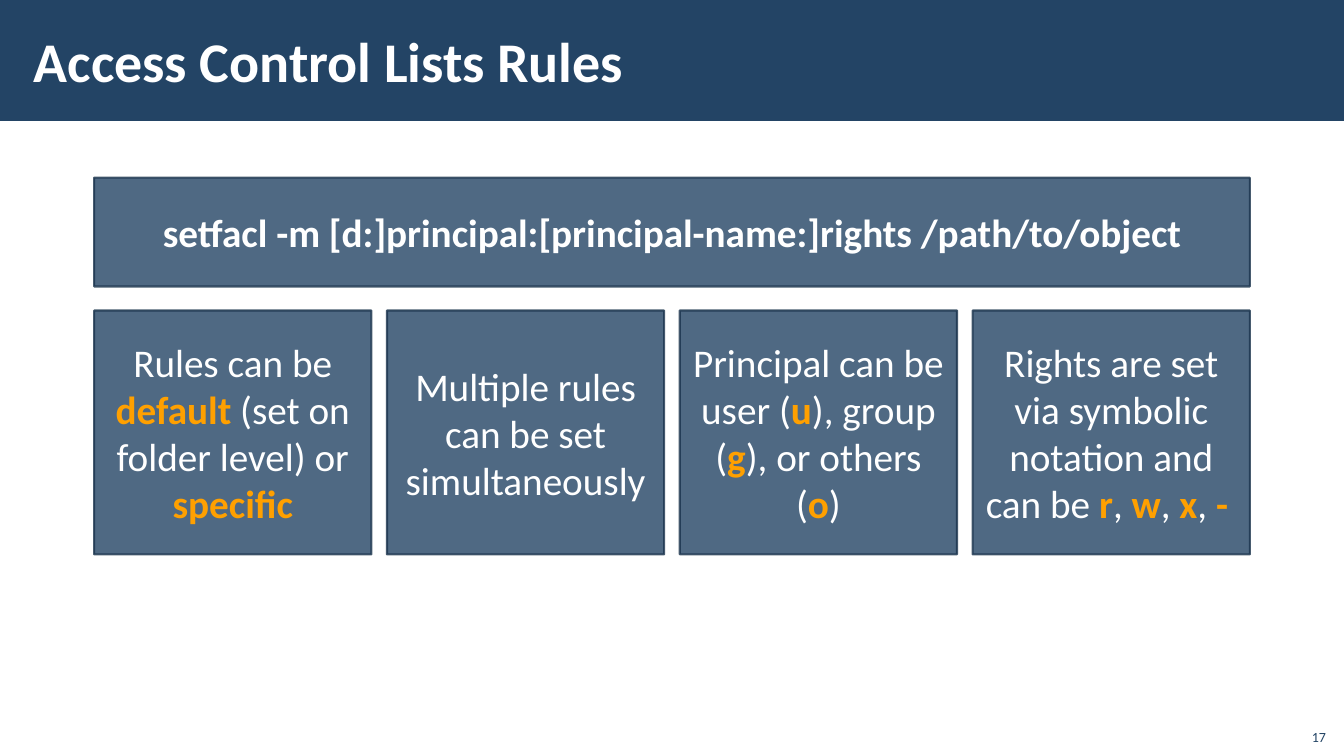
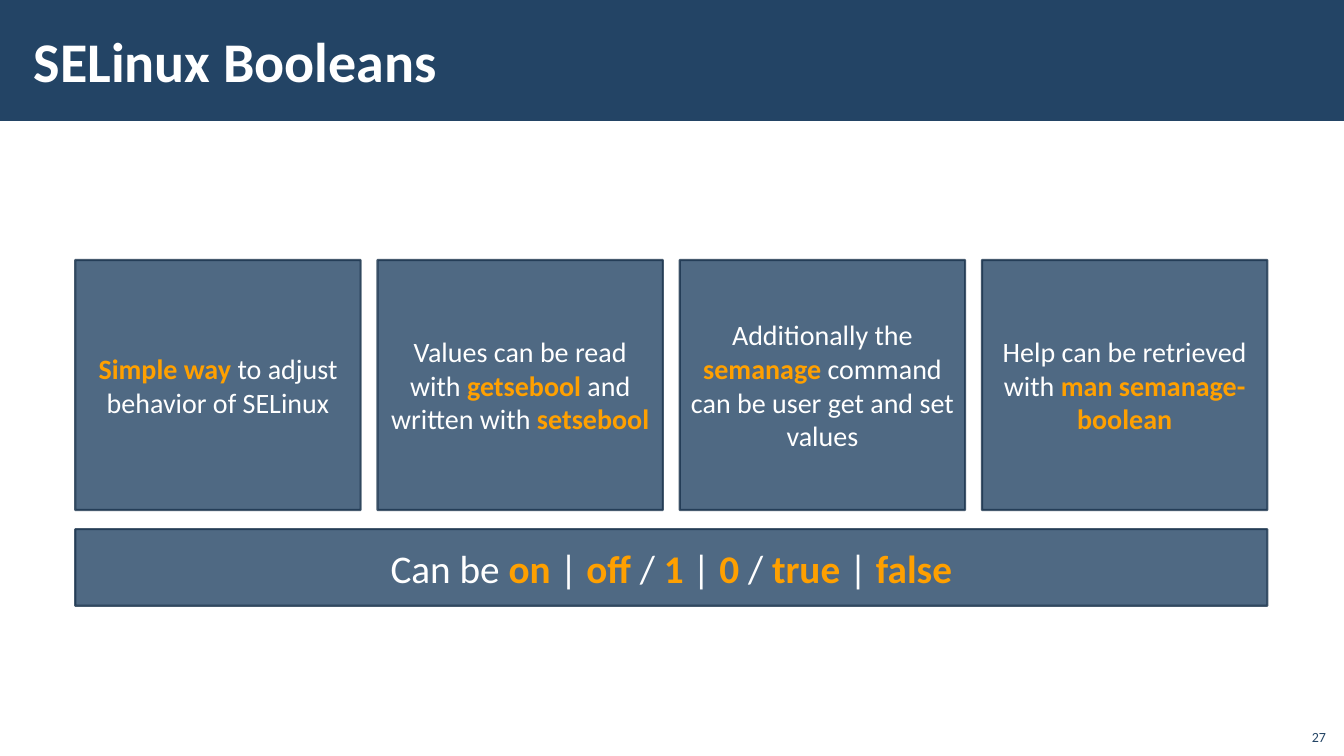
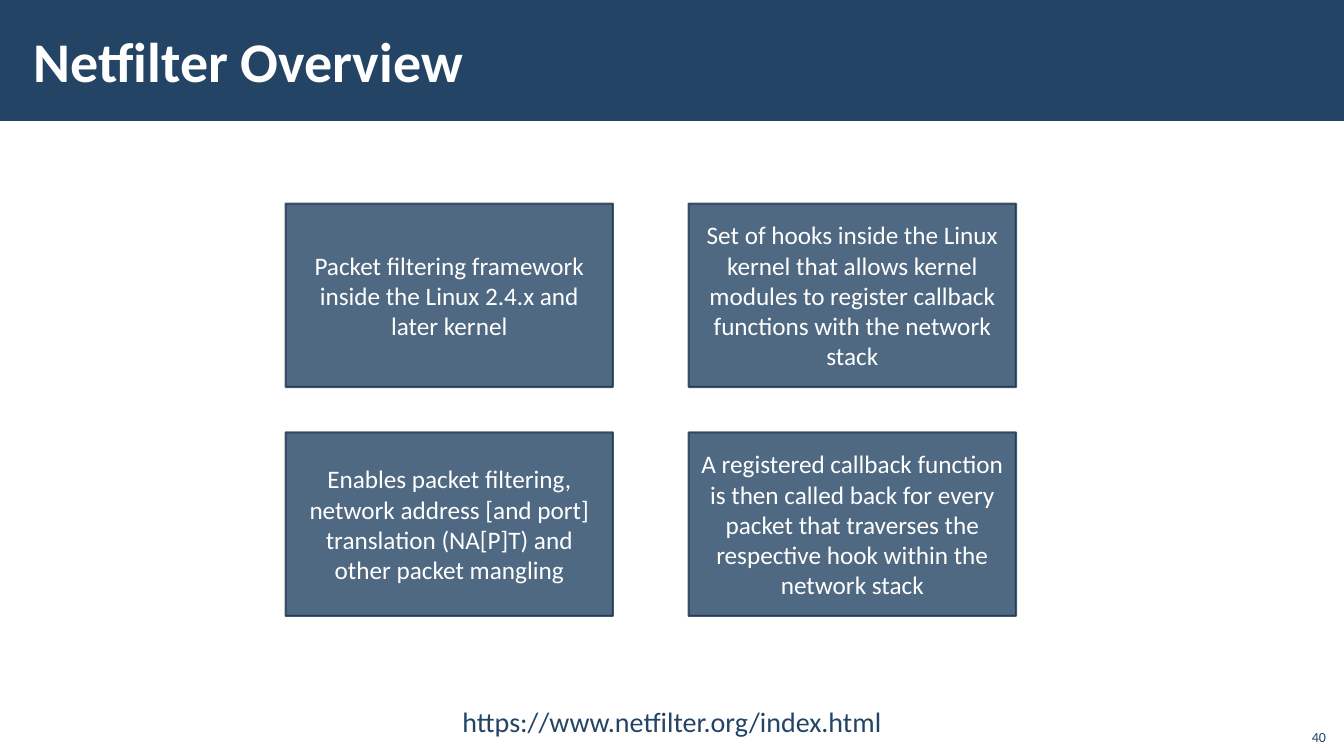
from pptx import Presentation
from pptx.dml.color import RGBColor
from pptx.enum.shapes import MSO_SHAPE as SHAPE
from pptx.enum.text import MSO_ANCHOR as ANCHOR, PP_ALIGN as ALIGN
from pptx.oxml.ns import qn
from pptx.util import Inches, Pt
from lxml.etree import SubElement

NAVY = RGBColor(0x23, 0x44, 0x65)
EDGE = RGBColor(0x1A, 0x33, 0x4C)
WHITE = RGBColor(0xFF, 0xFF, 0xFF)
AMBER = RGBColor(0xFF, 0xA0, 0x00)
FONT = "Calibri"
OPACITY = 80


class Deck:
    """Lengths are percentages of the slide's width and height.
    Text between asterisks is highlighted."""

    def __init__(self):
        self.prs = Presentation()
        self.prs.slide_width = Inches(13.33)
        self.prs.slide_height = Inches(7.5)
        self.s = None

    def place(self, left, top, width, height):
        w, h = self.prs.slide_width, self.prs.slide_height
        return [round(share * size / 100)
                for share, size in zip((left, top, width, height), (w, h, w, h))]

    def slide(self, title, number):
        self.s = self.prs.slides.add_slide(self.prs.slide_layouts[6])
        self.rect((0, 0, 100, 16))
        self.text((1.58, 1.47, 79.75, 12.93), title, 40, WHITE, ALIGN.LEFT,
                  ANCHOR.MIDDLE, bold=True, insets=(9, 3))
        self.text((96.4, 94.93, 3, 4.27), str(number), 10, NAVY, ALIGN.RIGHT,
                  ANCHOR.BOTTOM)

    def rect(self, area):
        sp = self.s.shapes.add_shape(SHAPE.RECTANGLE, *self.place(*area))
        sp.shadow.inherit = False
        sp.fill.solid()
        sp.fill.fore_color.rgb = NAVY
        sp.line.fill.background()
        return sp

    def fill_text(self, tf, text, size, color, align, anchor, bold=False):
        tf.word_wrap = True
        tf.vertical_anchor = anchor
        p = tf.paragraphs[0]
        p.alignment = align
        for i, part in enumerate(text.split("*")):
            if part:
                marked = i % 2 == 1
                r = p.add_run()
                r.text = part
                r.font.name = FONT
                r.font.size = Pt(size)
                r.font.bold = bold or marked
                r.font.color.rgb = AMBER if marked else color
        return p

    def text(self, area, text, size, color, align, anchor, bold=False,
             insets=(7.2, 3.6), spacing=None):
        tf = self.s.shapes.add_textbox(*self.place(*area)).text_frame
        tf.margin_left = tf.margin_right = Pt(insets[0])
        tf.margin_top = tf.margin_bottom = Pt(insets[1])
        p = self.fill_text(tf, text, size, color, align, anchor, bold)
        p.line_spacing = spacing

    def card(self, area, text, size, bold=False):
        sp = self.rect(area)
        sp.line.color.rgb = EDGE
        sp.line.width = Pt(1.5)
        for clr in sp._element.spPr.iter(qn("a:srgbClr")):
            SubElement(clr, qn("a:alpha"), val=str(OPACITY * 1000))
        self.fill_text(sp.text_frame, text, size, WHITE, ALIGN.CENTER,
                       ANCHOR.MIDDLE, bold)

    def cards(self, left, top, width, height, texts, size, cols, gap, row_gap=0):
        w = (width - (cols - 1) * gap) / cols
        for i, text in enumerate(texts):
            row, col = divmod(i, cols)
            self.card((left + col * (w + gap), top + row * (height + row_gap),
                       w, height), text, size)


def main():
    deck = Deck()

    deck.slide("Access Control Lists Rules", 17)
    deck.card((7, 23.5, 86, 14.4),
              "setfacl -m [d:]principal:[principal-name:]rights /path/to/object",
              28, bold=True)
    deck.cards(7, 41.07, 86, 32.27, [
        "Rules can be *default* (set on folder level) or *specific*",
        "Multiple rules can be set simultaneously",
        "Principal can be user (*u*), group (*g*), or others (*o*)",
        "Rights are set via symbolic notation and can be *r*, *w*, *x*, *- *",
    ], 28, cols=4, gap=1.16)

    deck.slide("SELinux Booleans", 27)
    deck.cards(5.6, 34.4, 88.7, 33.07, [
        "*Simple way *to adjust behavior of SELinux",
        "Values can be read with *getsebool* and written with *setsebool*",
        "Additionally the *semanage* command can be user get and set values",
        "Help can be retrieved with *man semanage-boolean*",
    ], 20, cols=4, gap=1.25)
    deck.card((5.6, 70, 88.7, 10.13),
              "Can be *on *| *off */ *1* | *0* / *true* | *false*", 28)

    deck.slide("Netfilter Overview", 40)
    deck.cards(21.25, 26.93, 54.35, 24.27, [
        "Packet filtering framework inside the Linux 2.4.x and later kernel",
        "Set of hooks inside the Linux kernel that allows kernel modules to "
        "register callback functions with the network stack",
        "Enables packet filtering, network address [and port] translation "
        "(NA[P]T) and other packet mangling",
        "A registered callback function is then called back for every packet "
        "that traverses the respective hook within the network stack",
    ], 18, cols=2, gap=5.63, row_gap=6)
    deck.text((6.3, 91.07, 87.4, 7.87), "https://www.netfilter.org/index.html",
              20, NAVY, ALIGN.CENTER, ANCHOR.TOP, insets=(12, 9), spacing=1.1)

    deck.prs.save("out.pptx")


if __name__ == "__main__":
    main()
